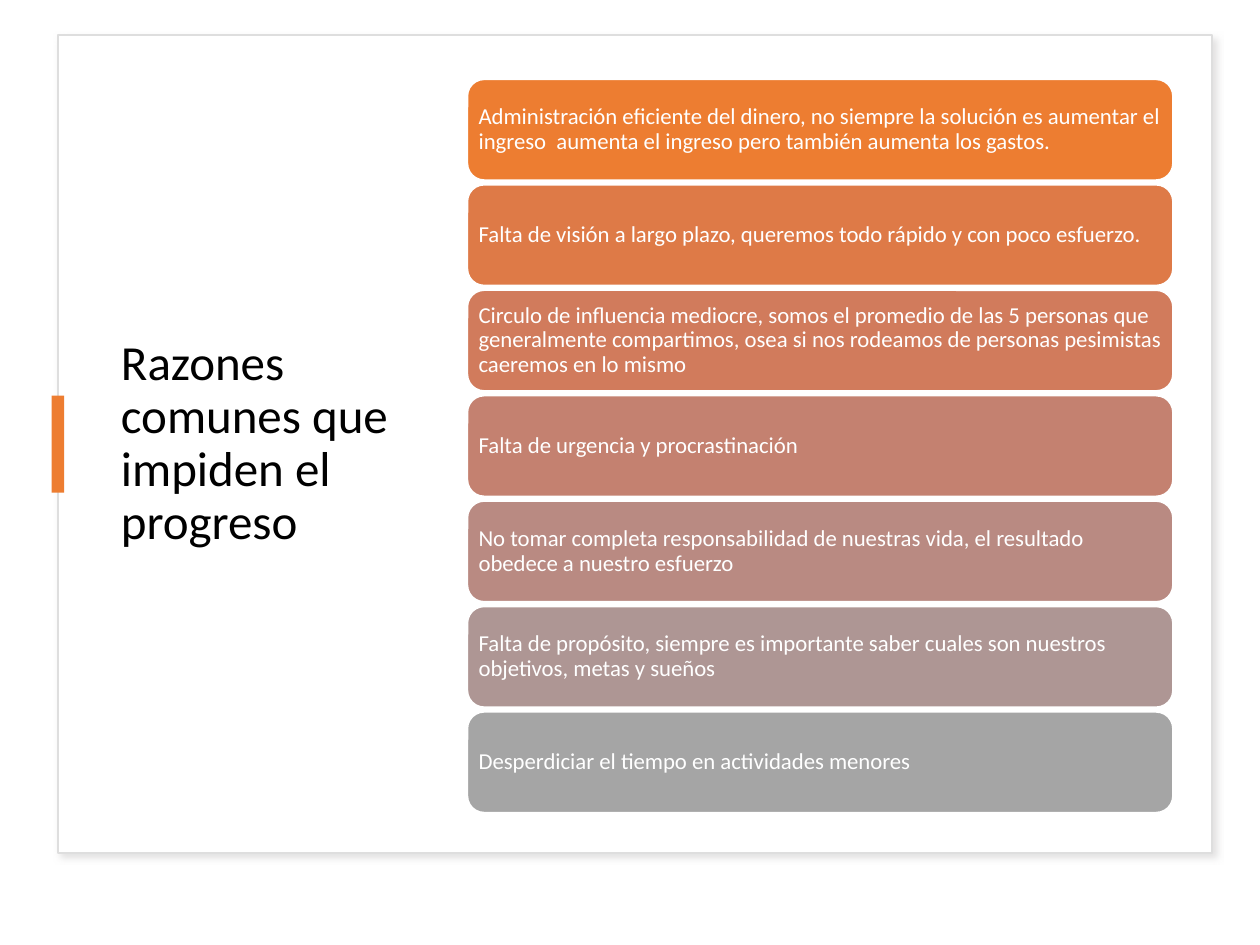
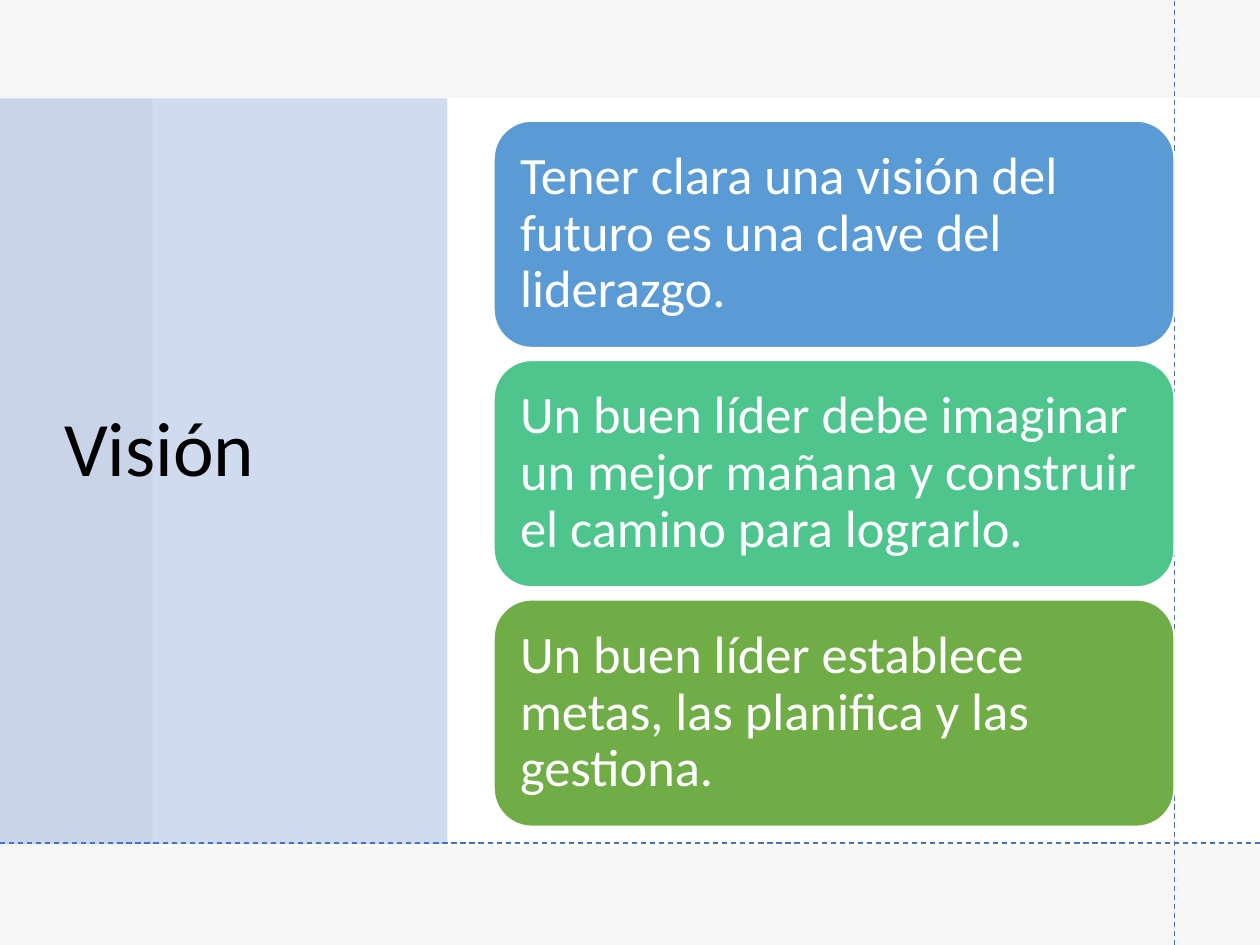
from lxml import etree
from pptx import Presentation
from pptx.dml.color import RGBColor
from pptx.enum.dml import MSO_LINE
from pptx.enum.shapes import MSO_CONNECTOR, MSO_SHAPE
from pptx.enum.text import MSO_ANCHOR, MSO_AUTO_SIZE, PP_ALIGN
from pptx.oxml.ns import qn
from pptx.util import Inches, Pt

RECT, ROUNDED = MSO_SHAPE.RECTANGLE, MSO_SHAPE.ROUNDED_RECTANGLE
STRAIGHT, DASH = MSO_CONNECTOR.STRAIGHT, MSO_LINE.DASH
MIDDLE, LEFT, NO_FIT = MSO_ANCHOR.MIDDLE, PP_ALIGN.LEFT, MSO_AUTO_SIZE.NONE

FONT = "Calibri"
WHITE = RGBColor(0xFF, 0xFF, 0xFF)
BLACK = RGBColor(0x00, 0x00, 0x00)
ORANGE = RGBColor(0xED, 0x7D, 0x31)
BLUE = RGBColor(0x44, 0x72, 0xC4)
LIGHT_GRAY = RGBColor(0xE7, 0xE6, 0xE6)
FRAME_LINE = RGBColor(0xDE, 0xDE, 0xDE)
SHADOW = RGBColor(0xC5, 0xC3, 0xC3)

REASONS = [
    ("Administración eficiente del dinero, no siempre la solución es aumentar el "
     "ingreso  aumenta el ingreso pero también aumenta los gastos.", ORANGE),
    ("Falta de visión a largo plazo, queremos todo rápido y con poco esfuerzo.",
     RGBColor(0xDE, 0x7A, 0x47)),
    ("Circulo de influencia mediocre, somos el promedio de las 5 personas que "
     "generalmente compartimos, osea si nos rodeamos de personas pesimistas "
     "caeremos en lo mismo", RGBColor(0xD1, 0x7B, 0x5C)),
    ("Falta de urgencia y procrastinación", RGBColor(0xC4, 0x81, 0x70)),
    ("No tomar completa responsabilidad de nuestras vida, el resultado obedece a "
     "nuestro esfuerzo", RGBColor(0xB9, 0x8A, 0x82)),
    ("Falta de propósito, siempre es importante saber cuales son nuestros "
     "objetivos, metas y sueños", RGBColor(0xAE, 0x96, 0x94)),
    ("Desperdiciar el tiempo en actividades menores", RGBColor(0xA5, 0xA5, 0xA5)),
]
VISION = [
    ("Tener clara una visión del futuro es una clave del liderazgo.",
     RGBColor(0x5B, 0x9B, 0xD5)),
    ("Un buen líder debe imaginar un mejor mañana y construir el camino para "
     "lograrlo.", RGBColor(0x4D, 0xC5, 0x8D)),
    ("Un buen líder establece metas, las planifica y las gestiona.",
     RGBColor(0x70, 0xAD, 0x47)),
]


def write_text(sp, text, *, size, color, inset=None):
    """Write one left-aligned, vertically centred paragraph in a shape."""
    tf = sp.text_frame
    tf.word_wrap, tf.auto_size, tf.vertical_anchor = True, NO_FIT, MIDDLE
    if inset is not None:
        tf.margin_left = tf.margin_right = Inches(inset)
        tf.margin_top = tf.margin_bottom = Inches(inset)
    p = tf.paragraphs[0]
    p.alignment, p.line_spacing = LEFT, 0.9
    r = p.add_run()
    r.text = text
    r.font.name, r.font.size = FONT, Pt(size)
    r.font.color.rgb = color


def add_box(slide, box, fill, *, kind=RECT, line=None, opacity=100):
    """Add a filled shape, by default opaque and without outline."""
    sp = slide.shapes.add_shape(kind, *map(Inches, box))
    sp.shadow.inherit = False
    sp.fill.solid()
    sp.fill.fore_color.rgb = fill
    if opacity < 100:
        clr = sp.element.spPr.find(".//" + qn("a:srgbClr"))
        etree.SubElement(clr, qn("a:alpha"), val=str(opacity * 1000))
    if line is None:
        sp.line.fill.background()
    else:
        sp.line.color.rgb, sp.line.width = line, Pt(1)
    return sp


def add_shadow(sp):
    """Give a shape a soft shadow towards the lower right."""
    effects = sp.element.spPr.find(qn("a:effectLst"))
    shadow = etree.SubElement(effects, qn("a:outerShdw"), blurRad=str(Pt(4)),
                              dist=str(Pt(3)), dir=str(45 * 60000))
    clr = etree.SubElement(shadow, qn("a:srgbClr"), val=str(SHADOW))
    etree.SubElement(clr, qn("a:alpha"), val="50000")


def add_guide(slide, *ends):
    """Add a thin dashed blue line."""
    line = slide.shapes.add_connector(STRAIGHT, *map(Inches, ends))
    line.line.color.rgb, line.line.width = BLUE, Pt(0.75)
    line.line.dash_style = DASH
    etree.SubElement(line.element.spPr, qn("a:effectLst"))


def set_title(slide, text, box, size):
    """Place and fill the title above the shapes drawn so far."""
    title = slide.shapes.title
    title.left, title.top, title.width, title.height = map(Inches, box)
    title.element.getparent().append(title.element)
    write_text(title, text, size=size, color=BLACK)


def add_cards(slide, cards, box, height, *, size, inset):
    """Stack text cards of one height evenly inside a box."""
    left, top, width, total = box
    pitch = (total - height) / (len(cards) - 1)
    for i, (text, fill) in enumerate(cards):
        sp = add_box(slide, (left, top + i * pitch, width, height), fill,
                     kind=ROUNDED, line=WHITE)
        write_text(sp, text, size=size, color=WHITE, inset=inset)


def build_reasons(slide):
    """Build the framed slide with the reasons."""
    add_shadow(add_box(slide, (0.46, 0.28, 9.16, 6.49), WHITE, line=FRAME_LINE))
    set_title(slide, "Razones comunes que impiden el progreso",
              (0.86, 0.55, 2.46, 5.95), 28)
    add_box(slide, (0.41, 3.14, 0.1, 0.77), ORANGE)
    add_cards(slide, REASONS, (3.71, 0.63, 5.6, 5.82), 0.8, size=13, inset=0.05)


def build_vision(slide):
    """Build the slide on vision with its side band and guides."""
    page = (0, 0, 10, 7.5)
    add_box(slide, page, WHITE)
    add_box(slide, page, LIGHT_GRAY, opacity=35)
    add_box(slide, (1.21, 0.78, 8.79, 5.94), WHITE)
    add_box(slide, (0, 0.78, 3.55, 5.92), BLUE, opacity=25)
    set_title(slide, "Visión", (0.41, 0.74, 2.96, 5.69), 44)
    add_guide(slide, 9.32, 7.5, 9.32, 0)
    add_guide(slide, 0, 6.69, 10, 6.69)
    add_cards(slide, VISION, (3.92, 0.96, 5.4, 5.6), 1.8, size=30, inset=0.12)


def main():
    """Build and save the presentation."""
    prs = Presentation()
    prs.slide_width, prs.slide_height = Inches(10), Inches(7.5)
    title_only = prs.slide_layouts[5]
    for build in (build_reasons, build_vision):
        build(prs.slides.add_slide(title_only))
    prs.save("out.pptx")


if __name__ == "__main__":
    main()
